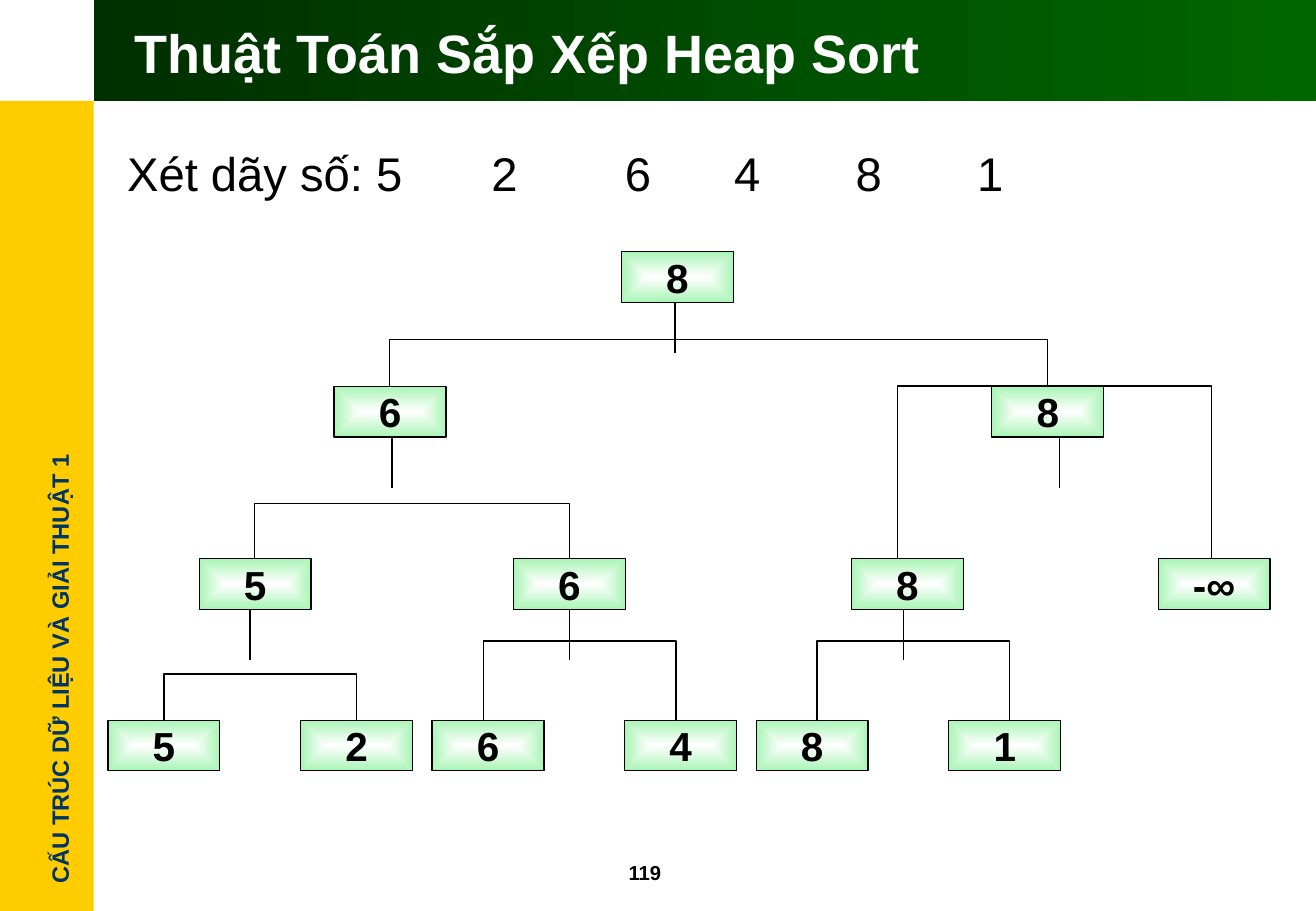
import pptx
import pptx.util
import pptx.dml.color
import pptx.enum.shapes
import pptx.enum.text
import pptx.oxml
import pptx.oxml.ns

Cm = pptx.util.Cm
Pt = pptx.util.Pt
RGB = pptx.dml.color.RGBColor
qn = pptx.oxml.ns.qn
Align = pptx.enum.text.PP_ALIGN
Anchor = pptx.enum.text.MSO_ANCHOR
Fit = pptx.enum.text.MSO_AUTO_SIZE
Link = pptx.enum.shapes.MSO_CONNECTOR
Kind = pptx.enum.shapes.MSO_SHAPE

BLACK = RGB(0x00, 0x00, 0x00)
WHITE = RGB(0xFF, 0xFF, 0xFF)
GOLD = RGB(0xFF, 0xCC, 0x00)
NAVY = RGB(0x00, 0x33, 0x66)
DARK = RGB(0x00, 0x2F, 0x00)
GREEN = RGB(0x00, 0x66, 0x00)
MINT = RGB(0xAA, 0xF4, 0xB6)

FONT = "Arial"
WIDE, HIGH = 2.34, 1.06
ROWS = [5.26, 8.08, 11.68, 15.06]
STEM = 1.06
THIN = 0.01

NODES = [
    ("8", 13.0, 0, -0.05),
    ("6", 6.99, 1, 0.04),
    ("8", 20.75, 1, 0.25),
    ("5", 4.17, 2, -0.11),
    ("6", 10.74, 2, 0),
    ("8", 17.81, 2, -0.08),
    ("-∞", 24.23, 2, None),
]
PAIRS = [("5", "2"), ("6", "4"), ("8", "1")]
FORKS = [
    (3.43, 4.03, 3, 14.1),
    (10.11, 4.03, 3, 13.41),
    (17.09, 4.03, 3, 13.41),
    (5.33, 6.58, 2, 10.54),
    (18.77, 6.58, 2, 8.08),
    (8.15, 13.77, 1, 7.11),
]
TABS = [3, 4.1, 5, 6, 7]


def style(para, size, color, bold=True):
    font = para.font
    font.name = FONT
    font.size = Pt(size)
    font.bold = bold
    font.color.rgb = color


def blend(fill, first, last):
    fill.gradient()
    for stop, color in zip(fill.gradient_stops, (first, last)):
        stop.color.rgb = color


def block(slide, left, top, width, height):
    shape = slide.shapes.add_shape(
        Kind.RECTANGLE, Cm(left), Cm(top), Cm(width), Cm(height))
    shape.shadow.inherit = False
    shape.line.fill.background()
    return shape


def label(slide, text, area, size, color, bold=True, wrap=True):
    box = slide.shapes.add_textbox(*map(Cm, area))
    frame = box.text_frame
    frame.word_wrap = wrap
    para = frame.paragraphs[0]
    para.text = text
    style(para, size, color, bold)
    return box


def set_tabs(para, stops):
    props = para.font._element.getparent()
    tabs = pptx.oxml.parse_xml(
        '<a:tabLst xmlns:a="http://schemas.openxmlformats.org/drawingml/2006/main"/>')
    for stop in stops:
        tab = tabs.makeelement(
            qn("a:tab"), {"pos": str(Cm(stop * 2.54)), "algn": "l"})
        tabs.append(tab)
    props.find(qn("a:defRPr")).addprevious(tabs)


def node(slide, text, left, row):
    box = block(slide, left, ROWS[row], WIDE, HIGH)
    blend(box.fill, WHITE, MINT)
    grad = box._element.spPr.find(qn("a:gradFill"))
    grad.remove(grad.find(qn("a:lin")))
    grad.append(pptx.oxml.parse_xml(
        '<a:path xmlns:a="http://schemas.openxmlformats.org/drawingml/2006/main" path="rect">'
        '<a:fillToRect l="50000" t="50000" r="50000" b="50000"/></a:path>'))
    box.line.color.rgb = BLACK
    box.line.width = Pt(0.75)
    frame = box.text_frame
    frame.word_wrap = False
    frame.vertical_anchor = Anchor.MIDDLE
    para = frame.paragraphs[0]
    para.text = text
    para.alignment = Align.CENTER
    style(para, 24, BLACK)
    return box


def wire(slide, kind, x1, y1, x2, y2):
    line = slide.shapes.add_connector(kind, Cm(x1), Cm(y1), Cm(x2), Cm(y2))
    line.line.color.rgb = BLACK
    line.line.width = Pt(0.75)
    props = line._element.spPr
    props.append(props.makeelement(qn("a:effectLst"), {}))
    return line


def fork(slide, left, span, row, top):
    mid, base = left + span / 2, ROWS[row]
    line = wire(slide, Link.ELBOW, mid - THIN / 2, base - span / 2,
                mid + THIN / 2, base + span / 2)
    props = line._element.spPr
    frame = props.find(qn("a:xfrm"))
    frame.set("rot", "16200000")
    frame.set("flipH", "1")
    guides = props.find(qn("a:prstGeom")).find(qn("a:avLst"))
    bend = round((top - base) / THIN * 100000)
    guides.append(guides.makeelement(
        qn("a:gd"), {"name": "adj1", "fmla": f"val {bend}"}))


def stem(slide, box, left, row, shift):
    x, y = left + WIDE / 2 + shift, ROWS[row] + HIGH
    line = wire(slide, Link.STRAIGHT, x, y, x, y + STEM)
    if shift == 0:
        line.begin_connect(box, 2)


def head(slide):
    side = block(slide, 0, 2.11, 1.96, 16.94)
    side.fill.solid()
    side.fill.fore_color.rgb = GOLD
    course = label(slide, "CẤU TRÚC DỮ LIỆU VÀ GIẢI THUẬT 1",
                   (-3.48, 13.56, 9.47, 0.86), 14, NAVY, wrap=False)
    course.rotation = 270
    band = block(slide, 1.96, 0, 25.59, 2.11)
    blend(band.fill, DARK, GREEN)
    band.fill.gradient_angle = 0

    title = slide.shapes.title
    title.left, title.top, title.width, title.height = map(
        Cm, (2.57, 0.23, 24.41, 1.7))
    slide.shapes._spTree.append(title._element)
    frame = title.text_frame
    frame.auto_size = Fit.NONE
    frame.vertical_anchor = Anchor.MIDDLE
    para = frame.paragraphs[0]
    para.text = "Thuật Toán Sắp Xếp Heap Sort"
    para.alignment = Align.LEFT
    style(para, 32, WHITE)


def tree(slide):
    for item in FORKS:
        fork(slide, *item)
    for i, pair in enumerate(PAIRS):
        for j, text in enumerate(pair):
            node(slide, text, 2.26 + 6.78 * i + 4.03 * j, 3)
    for text, left, row, shift in NODES:
        box = node(slide, text, left, row)
        if shift is not None:
            stem(slide, box, left, row, shift)


def main():
    deck = pptx.Presentation()
    deck.slide_width, deck.slide_height = Cm(27.53), Cm(19.05)
    slide = deck.slides.add_slide(deck.slide_layouts[5])
    head(slide)
    label(slide, "119", (12.9, 17.86, 2.11, 0.76), 12, BLACK)
    series = label(slide, "Xét dãy số: 5\t2\t6\t4\t8\t1",
                   (2.41, 2.9, 20.75, 1.45), 28, BLACK, bold=False)
    set_tabs(series.text_frame.paragraphs[0], TABS)
    tree(slide)
    deck.save("out.pptx")


if __name__ == "__main__":
    main()
